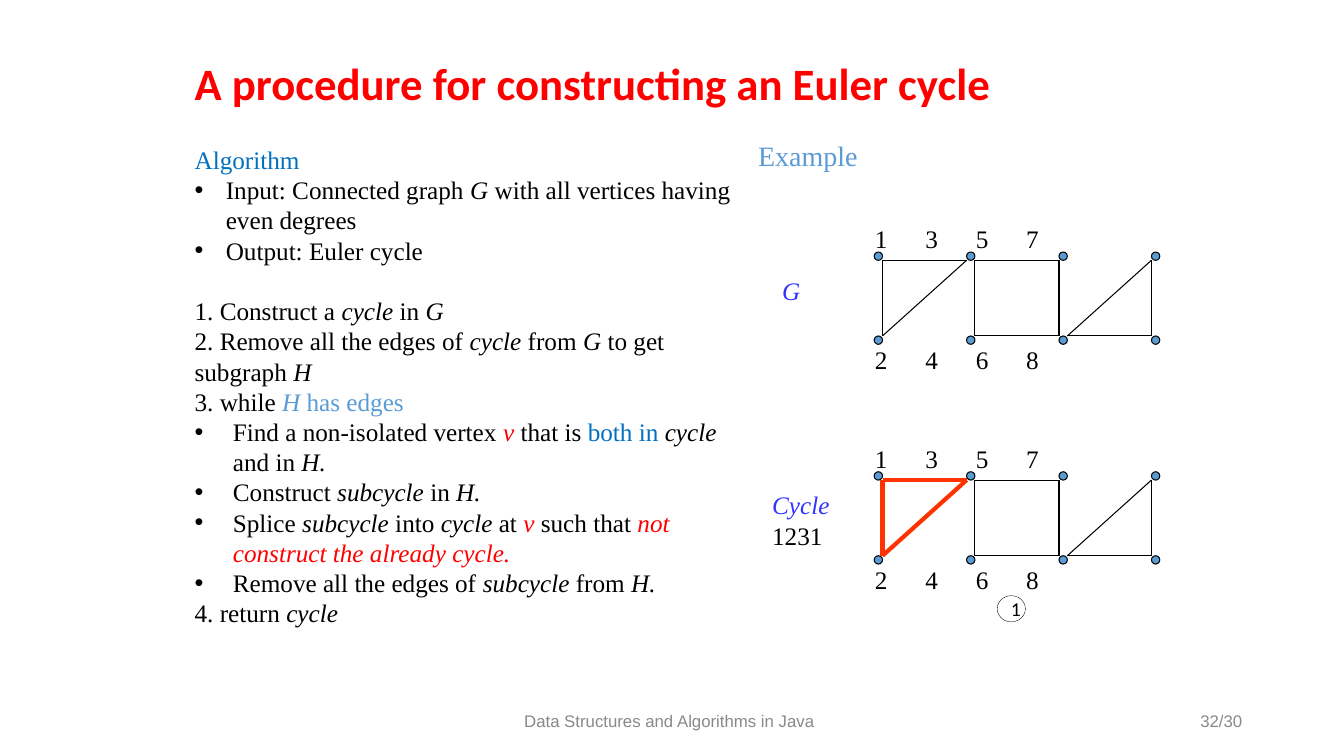
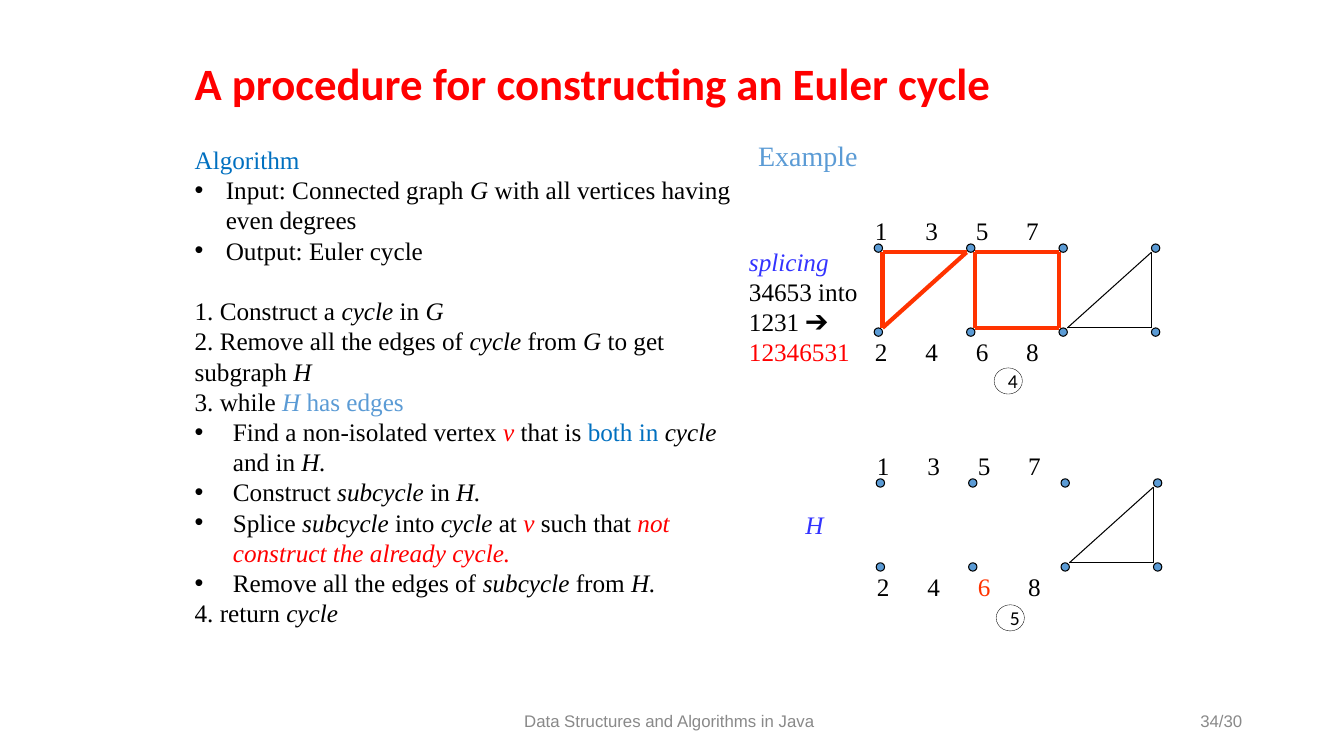
from lxml.etree import SubElement
from pptx import Presentation
from pptx.dml.color import RGBColor
from pptx.enum.shapes import MSO_CONNECTOR as Connector, MSO_SHAPE as Shape
from pptx.enum.text import MSO_ANCHOR as Anchor, MSO_AUTO_SIZE as AutoSize, PP_ALIGN as Align
from pptx.oxml.ns import qn
from pptx.util import Inches, Pt

COLORS = {
    "black": "000000", "white": "FFFFFF", "red": "FF0000", "blue": "0070C0",
    "sky": "5B9BD5", "indigo": "3333FF", "orange": "FF3300", "grey": "898989",
}
SERIF, SANS, FOOTER_FONT = "Times New Roman", "Calibri", "Arial"
TITLE = "A procedure for constructing an Euler cycle"
COURSE = "Data Structures and Algorithms in Java"

# Boxes are left, top, width, height in inches.
TITLE_BOX = (1.83, 0.56, 9.42, 0.59)
BODY_BOX = (1.83, 1.38, 5.67, 4.95)
EXAMPLE_BOX = (7.42, 1.33, 3.94, 0.44)
COURSE_BOX = (4.39, 6.95, 4.5, 0.4)
PAGE_BOX = (9.42, 6.95, 3, 0.4)

LINE_HEIGHT = 21.6
DOT = 0.083
COLUMN_STEP, ROW_STEP = 2.75 / 3, 0.833
LABEL_STEP = 0.875
VERTICES = range(1, 9)
LEFT_TRIANGLE, SQUARE, RIGHT_TRIANGLE = (1, 3, 2), (3, 5, 6, 4), (7, 8, 6)

# A span is plain text or (text, format); a paragraph is (format, *spans).
EM = {"italic": True}
RED_EM = {"color": "red", "italic": True}
BLUE = {"color": "blue"}
SKY = {"color": "sky"}
INDIGO_EM = {"color": "indigo", "italic": True}
PLAIN = {}
INPUT_ITEM = {"bullet": 0.31}
STEP_ITEM = {"bullet": 0.38}

ALGORITHM = [
    (PLAIN, ("Algorithm", BLUE)),
    (INPUT_ITEM, "Input: Connected graph ", ("G ", EM), "with all vertices having even degrees"),
    (INPUT_ITEM, "Output: Euler cycle"),
    ({"before": LINE_HEIGHT}, "1. Construct a ", ("cycle", EM), " in ", ("G", EM)),
    (PLAIN, "2. Remove all the edges of ", ("cycle", EM), " from ", ("G", EM),
     " to get subgraph ", ("H", EM)),
    (PLAIN, "3. while ", ("H", {**SKY, **EM}), (" has edges", SKY)),
    (STEP_ITEM, "Find a non-isolated vertex ", ("v ", RED_EM), "that is ", ("both in ", BLUE),
     ("cycle", EM), " and in ", ("H.", EM)),
    (STEP_ITEM, "Construct ", ("subcycle ", EM), "in ", ("H.", EM)),
    (STEP_ITEM, "Splice ", ("subcycle", EM), " into ", ("cycle", EM), " at ", ("v ", RED_EM),
     "such that ", ("not construct the already cycle.", RED_EM)),
    (STEP_ITEM, "Remove all the edges of ", ("subcycle", EM), " from", (" H.", EM)),
    (PLAIN, "4. return ", ("cycle", EM)),
]

SLIDES = [
    {
        "page": "32/30",
        "graphs": [
            {"at": (8.67, 2.5), "thin": [LEFT_TRIANGLE, SQUARE, RIGHT_TRIANGLE]},
            {"at": (8.67, 4.68), "thin": [SQUARE, RIGHT_TRIANGLE], "bold": [LEFT_TRIANGLE]},
        ],
        "captions": [
            ((7.66, 2.68, 1, 0.4), [(PLAIN, ("G", INDIGO_EM))]),
            ((7.56, 4.81, 0.98, 0.71), [(PLAIN, ("Cycle", INDIGO_EM)), (PLAIN, "1231")]),
        ],
        "steps": [("1", 9.89, 5.91)],
    },
    {
        "page": "34/30",
        "graphs": [
            {"at": (8.67, 2.42), "thin": [RIGHT_TRIANGLE], "bold": [LEFT_TRIANGLE, SQUARE]},
            {"at": (8.69, 4.75), "thin": [RIGHT_TRIANGLE], "marked": 6},
        ],
        "captions": [
            ((7.33, 2.39, 1.58, 1.62), [
                (PLAIN, ("splicing", INDIGO_EM)),
                (PLAIN, "34653 into"),
                (PLAIN, "1231 ➔"),
                (PLAIN, ("12346531", {"color": "red"})),
            ]),
            ((7.89, 5, 0.38, 0.4), [(PLAIN, ("H", INDIGO_EM))]),
        ],
        "steps": [("4", 9.86, 3.65), ("5", 9.88, 6)],
    },
]


def rgb(name):
    return RGBColor.from_string(COLORS[name])


def inches(box):
    return [Inches(length) for length in box]


def set_bullet(para, indent):
    properties = para._p.get_or_add_pPr()
    properties.set("marL", str(Inches(indent)))
    properties.set("indent", str(-Inches(indent)))
    if indent:
        SubElement(properties, qn("a:buFont"), typeface="Arial")
        SubElement(properties, qn("a:buChar"), char="•")
    else:
        SubElement(properties, qn("a:buNone"))


def set_tabs(para, stops):
    tab_list = SubElement(para._p.get_or_add_pPr(), qn("a:tabLst"))
    for stop in stops:
        SubElement(tab_list, qn("a:tab"), pos=str(Inches(stop)), algn="l")


def write(frame, paragraphs, size=18, font=SERIF, color="black", bold=False,
          align=Align.LEFT, anchor=Anchor.TOP, spacing=1.0):
    """Fill a text frame with paragraphs, or with one plain string."""
    if isinstance(paragraphs, str):
        paragraphs = [(PLAIN, paragraphs)]
    frame.auto_size = AutoSize.NONE
    frame.word_wrap = True
    frame.vertical_anchor = anchor
    for index, (layout, *spans) in enumerate(paragraphs):
        para = frame.add_paragraph() if index else frame.paragraphs[0]
        set_bullet(para, layout.get("bullet", 0))
        if "tabs" in layout:
            set_tabs(para, layout["tabs"])
        para.alignment = align
        para.line_spacing = spacing
        para.space_before = Pt(layout.get("before", 0))
        para.space_after = Pt(0)
        for span in spans:
            text, style = (span, PLAIN) if isinstance(span, str) else span
            run = para.add_run()
            run.text = text
            run.font.name = font
            run.font.size = Pt(size)
            run.font.bold = bold
            run.font.italic = style.get("italic", False)
            run.font.color.rgb = rgb(style.get("color", color))


def add_text(page, box, paragraphs, **style):
    write(page.shapes.add_textbox(*inches(box)).text_frame, paragraphs, **style)


def add_ellipse(page, box, fill, width):
    ellipse = page.shapes.add_shape(Shape.OVAL, *inches(box))
    ellipse.shadow.inherit = False
    ellipse.fill.solid()
    ellipse.fill.fore_color.rgb = rgb(fill)
    ellipse.line.color.rgb = rgb("black")
    ellipse.line.width = Pt(width)
    return ellipse


def add_edge(page, start, end, color, width):
    edge = page.shapes.add_connector(Connector.STRAIGHT, *inches(start + end))
    edge.line.color.rgb = rgb(color)
    edge.line.width = Pt(width)
    SubElement(edge._element.spPr, qn("a:effectLst"))


def add_cycle(page, at, cycle, color, width):
    """Join the vertices of a cycle at the dot corners facing its inside."""
    first_column = (min(cycle) - 1) // 2

    def corner(vertex):
        column, row = divmod(vertex - 1, 2)
        x = at[0] + column * COLUMN_STEP + (DOT if column == first_column else 0)
        y = at[1] + row * ROW_STEP + (0 if row else DOT)
        return x, y

    for start, end in zip(cycle, cycle[1:] + cycle[:1]):
        add_edge(page, corner(start), corner(end), color, width)


def add_graph(page, at, thin=(), bold=(), marked=None):
    left, top = at
    for vertex in VERTICES:
        column, row = divmod(vertex - 1, 2)
        add_ellipse(page, (left + column * COLUMN_STEP, top + row * ROW_STEP, DOT, DOT),
                    "sky", 0.75)
    for cycles, color, width in ((thin, "black", 0.75), (bold, "orange", 3)):
        for cycle in cycles:
            add_cycle(page, at, cycle, color, width)

    rows = []
    for first, last_stop, before in ((1, 2.63, 0), (2, 2.69, 3 * LINE_HEIGHT)):
        layout = {"tabs": (LABEL_STEP, 2 * LABEL_STEP, last_stop), "before": before}
        labels = [("\t" * (vertex > 2) + str(vertex),
                   {"color": "orange" if vertex == marked else "black"})
                  for vertex in VERTICES[first - 1::2]]
        rows.append((layout, *labels))
    add_text(page, (left - 0.09, top - 0.33, 3.17, 1.6), rows)


def add_step(page, number, left, top):
    frame = add_ellipse(page, (left, top, 0.28, 0.26), "white", 0.25).text_frame
    write(frame, number, size=14, font=SANS, align=Align.CENTER, anchor=Anchor.MIDDLE)
    frame.word_wrap = False
    frame.margin_left = Inches(0.09)
    frame.margin_right = frame.margin_top = frame.margin_bottom = 0


def add_footer(page, number):
    for box, text, align in ((COURSE_BOX, COURSE, Align.CENTER), (PAGE_BOX, number, Align.RIGHT)):
        add_text(page, box, text, size=12, font=FOOTER_FONT, color="grey",
                 align=align, anchor=Anchor.MIDDLE)


def prepare_layout(deck):
    layout = deck.slide_layouts.get_by_name("Title and Content")
    for holder in layout.placeholders:
        box = {0: TITLE_BOX, 1: BODY_BOX}.get(holder.placeholder_format.idx)
        if box:
            holder.left, holder.top, holder.width, holder.height = inches(box)
    return layout


def add_slide(deck, layout, content):
    page = deck.slides.add_slide(layout)
    write(page.shapes.title.text_frame, TITLE, size=32, font=SANS, color="red", bold=True,
          anchor=Anchor.MIDDLE, spacing=0.9)
    write(page.placeholders[1].text_frame, ALGORITHM)
    add_text(page, EXAMPLE_BOX, "Example", size=20, color="sky")
    for box, paragraphs in content["captions"]:
        add_text(page, box, paragraphs)
    for graph in content["graphs"]:
        add_graph(page, **graph)
    for step in content["steps"]:
        add_step(page, *step)
    add_footer(page, content["page"])


def main():
    deck = Presentation()
    deck.slide_width, deck.slide_height = Inches(13.33), Inches(7.5)
    layout = prepare_layout(deck)
    for content in SLIDES:
        add_slide(deck, layout, content)
    deck.save("out.pptx")


if __name__ == "__main__":
    main()
